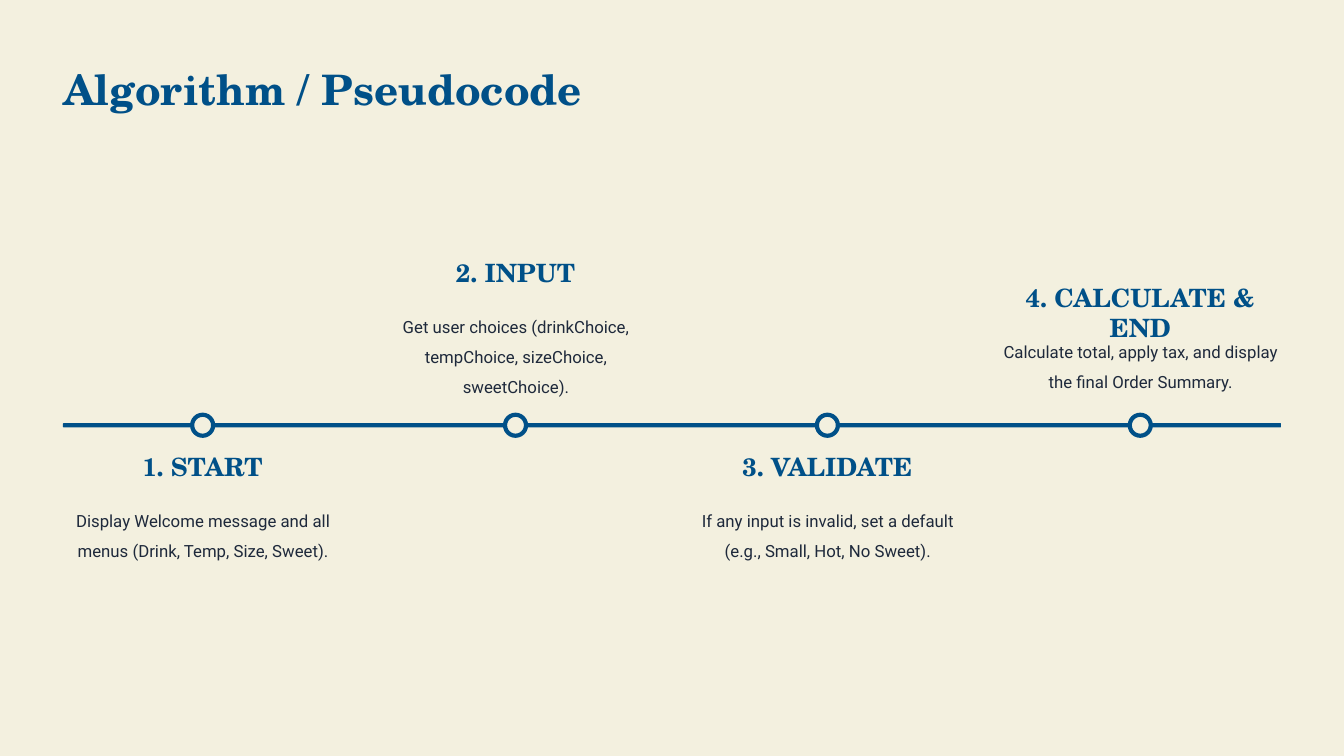
from dataclasses import dataclass

from pptx import Presentation
from pptx.dml.color import RGBColor
from pptx.enum.shapes import MSO_SHAPE
from pptx.enum.text import MSO_ANCHOR, MSO_AUTO_SIZE, PP_ALIGN
from pptx.shapes.autoshape import Shape
from pptx.slide import Slide
from pptx.util import Emu, Pt


@dataclass(frozen=True)
class TextStyle:
    font: str
    size: int
    color: RGBColor
    bold: bool = False
    align: PP_ALIGN = PP_ALIGN.CENTER
    line_spacing: float = 1.0


@dataclass(frozen=True)
class Theme:
    cream: RGBColor = RGBColor(0xF3, 0xF0, 0xDF)
    blue: RGBColor = RGBColor(0x00, 0x50, 0x88)
    ink: RGBColor = RGBColor(0x1E, 0x29, 0x3B)
    serif: str = "TeX Gyre Schola"
    sans: str = "Roboto"
    title_size: int = 30
    heading_size: int = 18
    body_size: int = 12
    marker_line: int = 3


@dataclass(frozen=True)
class Step:
    heading: str
    body: str
    body_lines: int
    above: bool


@dataclass(frozen=True)
class Area:
    left: int
    top: int
    width: int
    height: int


THEME = Theme()
TITLE = TextStyle(THEME.serif, THEME.title_size, THEME.blue, True, PP_ALIGN.LEFT)
HEADING = TextStyle(THEME.serif, THEME.heading_size, THEME.blue, True)
BODY = TextStyle(THEME.sans, THEME.body_size, THEME.ink, line_spacing=1.5)

STEPS = [
    Step("1. START",
         "Display Welcome message and all menus (Drink, Temp, Size, Sweet).", 2, False),
    Step("2. INPUT",
         "Get user choices (drinkChoice, tempChoice, sizeChoice, sweetChoice).", 3, True),
    Step("3. VALIDATE",
         "If any input is invalid, set a default (e.g., Small, Hot, No Sweet).", 2, False),
    Step("4. CALCULATE & END",
         "Calculate total, apply tax, and display the final Order Summary.", 2, True),
]

# Layout in px, 96 to the inch
PAGE_WIDTH, PAGE_HEIGHT = 1280, 720
TITLE_AREA = Area(60, 60, 1218, 50)
AXIS = Area(60, 403, 1160, 4)
FIRST_CENTER, LAST_CENTER = 193, 1086
MARKER_SIZE = 20
HEADING_WIDTH, HEADING_HEIGHT = 280, 31
BODY_WIDTH, BODY_LINE = 267, 24
HEADING_TO_BODY = 47
TOP_BELOW_AXIS, BOTTOM_ABOVE_AXIS = 430, 364


def px(length: int) -> Emu:
    return Emu(length * 9525)


def place(shape: Shape, area: Area) -> None:
    shape.left, shape.top = px(area.left), px(area.top)
    shape.width, shape.height = px(area.width), px(area.height)


def centered(center: int, top: int, width: int, height: int) -> Area:
    return Area(center - width // 2, top, width, height)


def write(box: Shape, text: str, style: TextStyle) -> None:
    frame = box.text_frame
    frame.margin_left = frame.margin_right = frame.margin_top = frame.margin_bottom = 0
    frame.word_wrap = True
    frame.auto_size = MSO_AUTO_SIZE.SHAPE_TO_FIT_TEXT
    frame.vertical_anchor = MSO_ANCHOR.TOP
    para = frame.paragraphs[0]
    para.alignment = style.align
    para.line_spacing = style.line_spacing
    span = para.add_run()
    span.text = text
    span.font.name = style.font
    span.font.size = Pt(style.size)
    span.font.bold = style.bold
    span.font.color.rgb = style.color


def add_text(page: Slide, area: Area, text: str, style: TextStyle) -> None:
    box = page.shapes.add_textbox(0, 0, 0, 0)
    place(box, area)
    write(box, text, style)


def add_bar(page: Slide, area: Area, fill: RGBColor, rounding: float) -> Shape:
    bar = page.shapes.add_shape(MSO_SHAPE.ROUNDED_RECTANGLE, 0, 0, 0, 0)
    place(bar, area)
    bar.adjustments[0] = rounding
    bar.shadow.inherit = False
    bar.fill.solid()
    bar.fill.fore_color.rgb = fill
    bar.line.fill.background()
    return bar


def add_marker(page: Slide, center: int) -> None:
    top = AXIS.top + (AXIS.height - MARKER_SIZE) // 2
    marker = add_bar(page, centered(center, top, MARKER_SIZE, MARKER_SIZE), THEME.cream, 0.5)
    marker.line.color.rgb = THEME.blue
    marker.line.width = Pt(THEME.marker_line)


def add_step(page: Slide, step: Step, center: int) -> None:
    body_height = step.body_lines * BODY_LINE
    if step.above:
        body_top = BOTTOM_ABOVE_AXIS - body_height
    else:
        body_top = TOP_BELOW_AXIS + HEADING_TO_BODY
    heading_area = centered(center, body_top - HEADING_TO_BODY, HEADING_WIDTH, HEADING_HEIGHT)
    add_text(page, heading_area, step.heading, HEADING)
    add_text(page, centered(center, body_top, BODY_WIDTH, body_height), step.body, BODY)
    add_marker(page, center)


def main() -> None:
    deck = Presentation()
    deck.slide_width, deck.slide_height = px(PAGE_WIDTH), px(PAGE_HEIGHT)
    page = deck.slides.add_slide(deck.slide_layouts.get_by_name("Title Only"))
    page.background.fill.solid()
    page.background.fill.fore_color.rgb = THEME.cream

    # Title
    place(page.shapes.title, TITLE_AREA)
    write(page.shapes.title, "Algorithm / Pseudocode", TITLE)

    # Timeline with evenly spaced steps
    add_bar(page, AXIS, THEME.blue, 0.167)
    pitch = (LAST_CENTER - FIRST_CENTER) / (len(STEPS) - 1)
    for index, step in enumerate(STEPS):
        add_step(page, step, round(FIRST_CENTER + index * pitch))

    deck.save("out.pptx")


if __name__ == "__main__":
    main()
